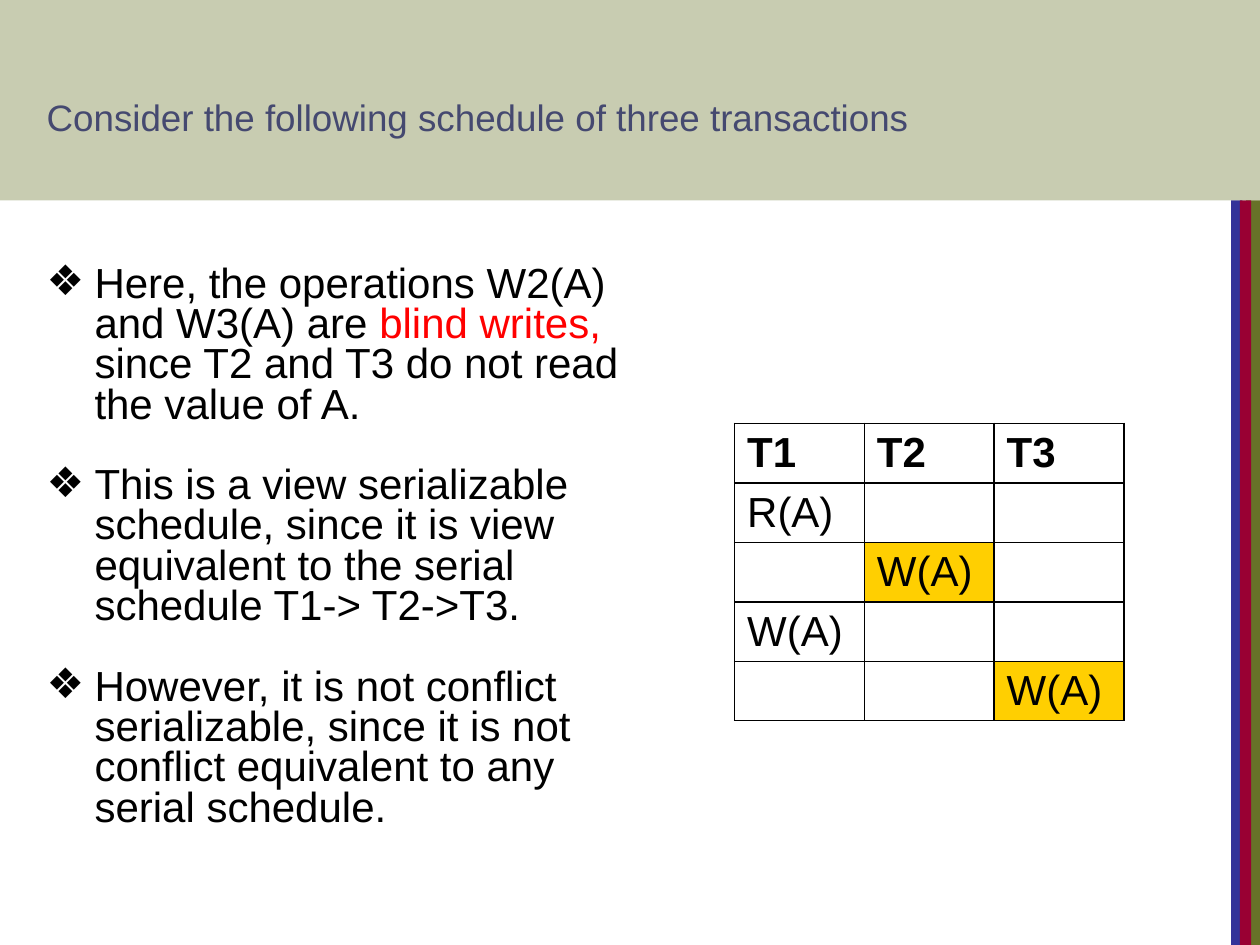
from lxml import etree
from pptx import Presentation
from pptx.dml.color import RGBColor
from pptx.enum.shapes import MSO_SHAPE
from pptx.enum.text import MSO_ANCHOR, MSO_AUTO_SIZE, PP_ALIGN
from pptx.oxml.ns import qn
from pptx.util import Inches, Pt

RECTANGLE = MSO_SHAPE.RECTANGLE
TOP = MSO_ANCHOR.TOP
LEFT = PP_ALIGN.LEFT
NO_AUTOFIT = MSO_AUTO_SIZE.NONE

OLIVE = RGBColor(0x67, 0x72, 0x28)
INDIGO = RGBColor(0x33, 0x33, 0x99)
CRIMSON = RGBColor(0x99, 0x00, 0x33)
BLACK = RGBColor(0, 0, 0)
RED = RGBColor(0xFF, 0, 0)
WHITE = RGBColor(0xFF, 0xFF, 0xFF)
GOLD = RGBColor(0xFF, 0xCF, 0x01)

BAND_HEIGHT = 1.59
TITLE = "Consider the following schedule of three transactions"
POINTS = [
    [("Here, the operations W2(A) and W3(A) are ", BLACK),
     ("blind writes, ", RED),
     ("since T2 and T3 do not read the value of A.", BLACK)],
    [("This is a view serializable schedule, since it is view equivalent "
      "to the serial schedule T1-> T2->T3.", BLACK)],
    [("However, it is not conflict serializable, since it is not conflict "
      "equivalent to any serial schedule.", BLACK)],
]
SCHEDULE = [
    ["T1", "T2", "T3"],
    ["R(A)", "", ""],
    ["", "W(A)", ""],
    ["W(A)", "", ""],
    ["", "", "W(A)"],
]
BLIND_WRITES = {(2, 1), (4, 2)}


def apply(target, values):
    """Set each attribute in values on target."""
    for name, value in values.items():
        setattr(target, name, value)


class SlideBuilder:
    """Holds the text style and the current slide."""

    frame_format = {"word_wrap": True, "auto_size": NO_AUTOFIT,
                    "vertical_anchor": TOP, "margin_left": Inches(0.1),
                    "margin_right": Inches(0.1), "margin_top": Inches(0.05),
                    "margin_bottom": Inches(0.05)}
    paragraph_format = {"alignment": LEFT, "line_spacing": 0.8,
                        "space_before": Pt(0), "space_after": Pt(0)}

    def __init__(self, slide, font="Arial"):
        """Keep the slide and the font name."""
        self.slide = slide
        self.font = font

    def bar(self, left, top, width, height, color, opacity=100):
        """Add a plain filled rectangle."""
        bar = self.slide.shapes.add_shape(
            RECTANGLE, Inches(left), Inches(top), Inches(width), Inches(height))
        bar.shadow.inherit = False
        bar.line.fill.background()
        bar.fill.solid()
        bar.fill.fore_color.rgb = color
        if opacity < 100:
            tint = next(bar.fill._xPr.iter(qn("a:srgbClr")))
            etree.SubElement(tint, qn("a:alpha"), val=str(opacity * 1000))

    def run(self, paragraph, text, size, color, bold=False):
        """Add a styled run to a paragraph."""
        run = paragraph.add_run()
        run.text = text
        apply(run.font, {"name": self.font, "size": Pt(size), "bold": bold})
        run.font.color.rgb = color

    def place(self, placeholder, left, top, width, height):
        """Move a placeholder and return its formatted text frame."""
        apply(placeholder, {"left": Inches(left), "top": Inches(top),
                            "width": Inches(width), "height": Inches(height)})
        apply(placeholder.text_frame, self.frame_format)
        return placeholder.text_frame

    def title(self, text, *box):
        """Fill the title placeholder."""
        paragraph = self.place(self.slide.shapes.title, *box).paragraphs[0]
        apply(paragraph, self.paragraph_format)
        self.run(paragraph, text, 21, INDIGO)

    def bullets(self, points, gap, *box):
        """Fill the body placeholder with bulleted points."""
        frame = self.place(self.slide.placeholders[1], *box)
        for index, point in enumerate(points):
            paragraph = frame.add_paragraph() if index else frame.paragraphs[0]
            apply(paragraph, self.paragraph_format)
            if index:
                paragraph.space_before = Pt(gap)
            properties = paragraph._p.get_or_add_pPr()
            properties.set("marL", str(Inches(0.38)))
            properties.set("indent", str(-Inches(0.38)))
            etree.SubElement(properties, qn("a:buFont"), typeface=self.font)
            etree.SubElement(properties, qn("a:buChar"), char="❖")
            for text, color in point:
                self.run(paragraph, text, 24, color)

    def border(self, cell):
        """Draw a thin black line on all four sides of a cell."""
        properties = cell._tc.get_or_add_tcPr()
        for position, side in enumerate(("lnL", "lnR", "lnT", "lnB")):
            line = etree.Element(qn(f"a:{side}"), w=str(Pt(1)))
            fill = etree.SubElement(line, qn("a:solidFill"))
            etree.SubElement(fill, qn("a:srgbClr"), val=str(BLACK))
            properties.insert(position, line)

    def table(self, rows, highlights, left, top, column_width, row_height):
        """Add a bordered table with a bold heading row."""
        columns = len(rows[0])
        table = self.slide.shapes.add_table(
            len(rows), columns, Inches(left), Inches(top),
            Inches(column_width * columns),
            Inches(row_height * len(rows))).table
        for column in table.columns:
            column.width = Inches(column_width)
        for r, row in enumerate(rows):
            for c, text in enumerate(row):
                cell = table.cell(r, c)
                cell.fill.solid()
                cell.fill.fore_color.rgb = GOLD if (r, c) in highlights else WHITE
                self.border(cell)
                if text:
                    self.run(cell.text_frame.paragraphs[0], text, 24, BLACK,
                             bold=r == 0)


def main():
    """Build the slide and save it."""
    deck = Presentation()
    apply(deck, {"slide_width": Inches(10), "slide_height": Inches(7.5)})
    builder = SlideBuilder(deck.slides.add_slide(deck.slide_layouts[1]))
    for left, width, color in ((9.89, 0.11, OLIVE), (9.77, 0.09, INDIGO),
                               (9.84, 0.09, CRIMSON)):
        builder.bar(left, BAND_HEIGHT, width, 7.5 - BAND_HEIGHT, color)
    builder.bar(0, 0, 10, BAND_HEIGHT, OLIVE, opacity=36)
    builder.title(TITLE, 0.27, 0.77, 9.07, 0.58)
    builder.table(SCHEDULE, BLIND_WRITES, 5.83, 3.36, 1.03, 0.47)
    builder.bullets(POINTS, 23, 0.27, 2.06, 5, 4.62)
    deck.save("out.pptx")


main()
